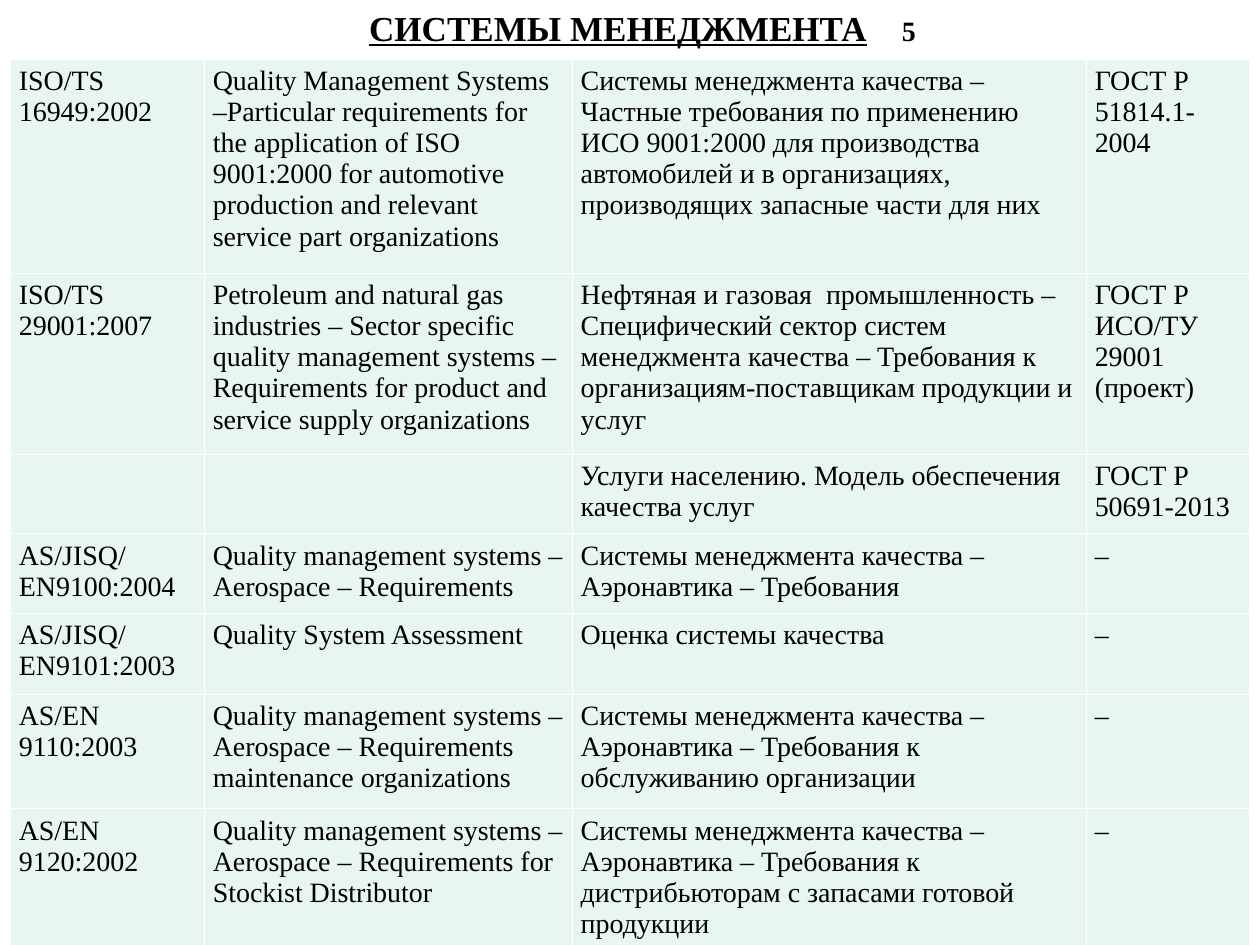
import dataclasses

import pptx
import pptx.dml.color
import pptx.enum.text
import pptx.oxml
import pptx.oxml.ns
import pptx.util

Inches = pptx.util.Inches


@dataclasses.dataclass(frozen=True)
class Theme:
    font: str = "Times New Roman"
    ink: str = "000000"
    cell_fill: str = "E7F6EF"
    border: str = "FFFFFF"
    border_width: float = 0.45
    title_size: int = 20
    body_size: int = 16


THEME = Theme()

COLUMN_WIDTHS = (1.54, 2.92, 4.08, 1.3)
ROW_HEIGHTS = (1.69, 1.43, 0.63, 0.63, 0.64, 0.91, 1.09)
STANDARDS = (
    ("ISO/TS 16949:2002",
     "Quality Management Systems –Particular requirements for the application of "
     "ISO 9001:2000 for automotive production and relevant service part organizations",
     "Системы менеджмента качества – Частные требования по применению ИСО 9001:2000 "
     "для производства автомобилей и в организациях, производящих запасные части для них",
     "ГОСТ Р 51814.1-2004"),
    ("ISO/TS 29001:2007",
     "Petroleum and natural gas industries – Sector specific quality management "
     "systems – Requirements for product and service supply organizations",
     "Нефтяная и газовая  промышленность – Специфический сектор систем менеджмента "
     "качества – Требования к организациям-поставщикам продукции и услуг",
     "ГОСТ Р ИСО/ТУ 29001 (проект)"),
    ("", "",
     "Услуги населению. Модель обеспечения качества услуг",
     "ГОСТ Р 50691-2013"),
    ("AS/JISQ/EN9100:2004",
     "Quality management systems – Aerospace – Requirements",
     "Системы менеджмента качества – Аэронавтика – Требования",
     "–"),
    ("AS/JISQ/EN9101:2003",
     "Quality System Assessment",
     "Оценка системы качества",
     "–"),
    ("AS/EN 9110:2003",
     "Quality management systems – Aerospace – Requirements maintenance organizations",
     "Системы менеджмента качества – Аэронавтика – Требования к обслуживанию организации",
     "–"),
    ("AS/EN 9120:2002",
     "Quality management systems – Aerospace – Requirements for Stockist Distributor",
     "Системы менеджмента качества – Аэронавтика – Требования к дистрибьюторам "
     "с запасами готовой продукции",
     "–"),
)


def color(value):
    return pptx.dml.color.RGBColor.from_string(value)


def add_text(para, text, size=THEME.body_size, bold=False, underline=False, spacing=0):
    """Append a formatted span; spacing is extra letter spacing in points."""
    span = para.add_run()
    span.text = text
    span.font.name = THEME.font
    span.font.size = pptx.util.Pt(size)
    span.font.bold = bold
    span.font.underline = underline
    span.font.color.rgb = color(THEME.ink)
    if spacing:
        span.font._element.set("spc", str(spacing * 100))


def set_borders(cell):
    properties = cell._tc.get_or_add_tcPr()
    width = pptx.util.Pt(THEME.border_width)
    for index, side in enumerate(("lnL", "lnR", "lnT", "lnB")):
        line = pptx.oxml.parse_xml(
            f'<a:{side} {pptx.oxml.ns.nsdecls("a")} w="{width}"><a:solidFill>'
            f'<a:srgbClr val="{THEME.border}"/></a:solidFill></a:{side}>')
        properties.insert(index, line)


def add_title(page, left, top, width, height):
    box = page.shapes.add_textbox(Inches(left), Inches(top), Inches(width), Inches(height))
    box.text_frame.word_wrap = True
    para = box.text_frame.paragraphs[0]
    para.alignment = pptx.enum.text.PP_ALIGN.CENTER
    add_text(para, "СИСТЕМЫ МЕНЕДЖМЕНТА", size=THEME.title_size, bold=True, underline=True)
    add_text(para, " ", size=THEME.title_size, bold=True, spacing=15)
    add_text(para, "5", bold=True)


def add_standards_table(page, left, top, width, height):
    frame = page.shapes.add_table(len(STANDARDS), len(COLUMN_WIDTHS), Inches(left),
                                  Inches(top), Inches(width), Inches(height))
    table = frame.table
    table.first_row = table.horz_banding = False
    for column, share in zip(table.columns, COLUMN_WIDTHS):
        column.width = Inches(width * share / sum(COLUMN_WIDTHS))
    for row, share, texts in zip(table.rows, ROW_HEIGHTS, STANDARDS):
        row.height = Inches(height * share / sum(ROW_HEIGHTS))
        for cell, text in zip(row.cells, texts):
            cell.margin_left = cell.margin_right = Inches(0.07)
            cell.margin_top = cell.margin_bottom = Inches(0.05)
            cell.fill.solid()
            cell.fill.fore_color.rgb = color(THEME.cell_fill)
            set_borders(cell)
            if text:
                add_text(cell.text_frame.paragraphs[0], text)


def main():
    deck = pptx.Presentation()
    deck.slide_width, deck.slide_height = Inches(10), Inches(7.5)
    page = deck.slides.add_slide(deck.slide_layouts[6])

    # Heading with the sheet number
    add_title(page, 0.2, 0, 9.8, 0.44)
    # Standards and their national counterparts
    add_standards_table(page, 0.08, 0.47, sum(COLUMN_WIDTHS), sum(ROW_HEIGHTS))

    deck.save("out.pptx")


if __name__ == "__main__":
    main()
